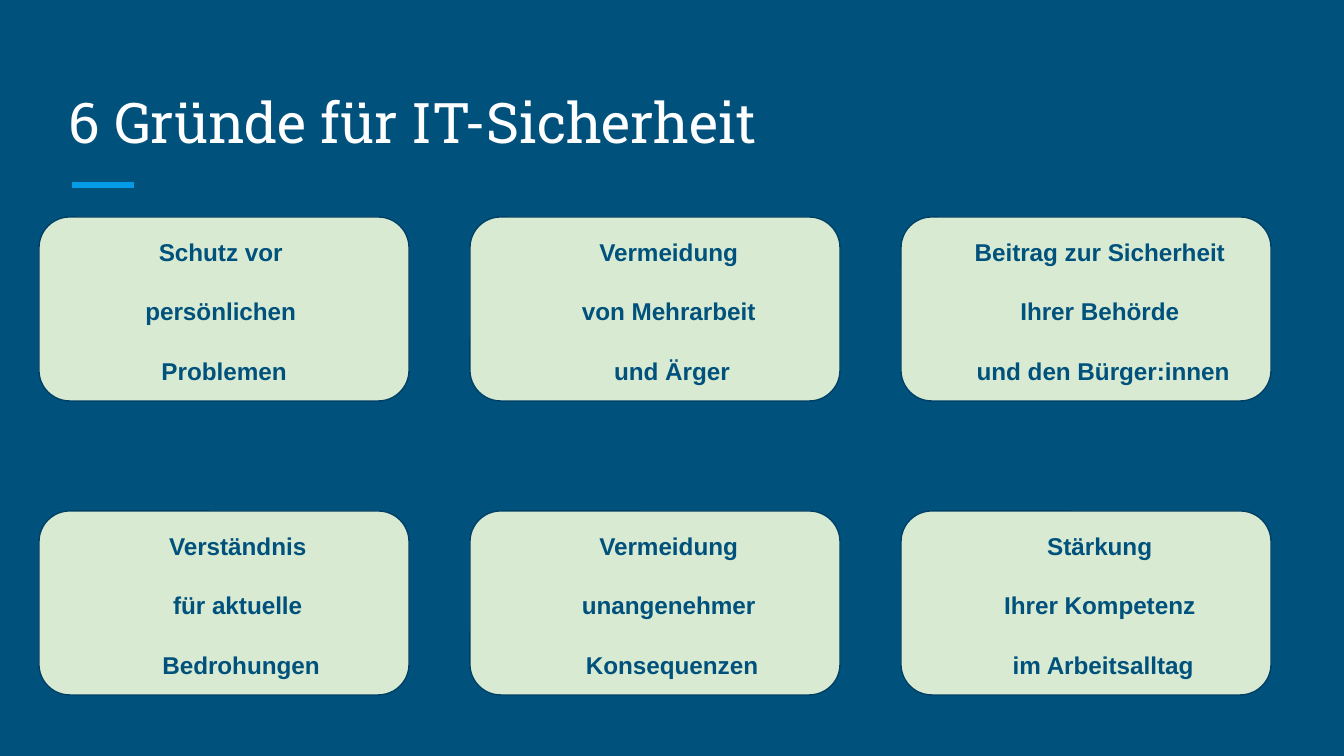
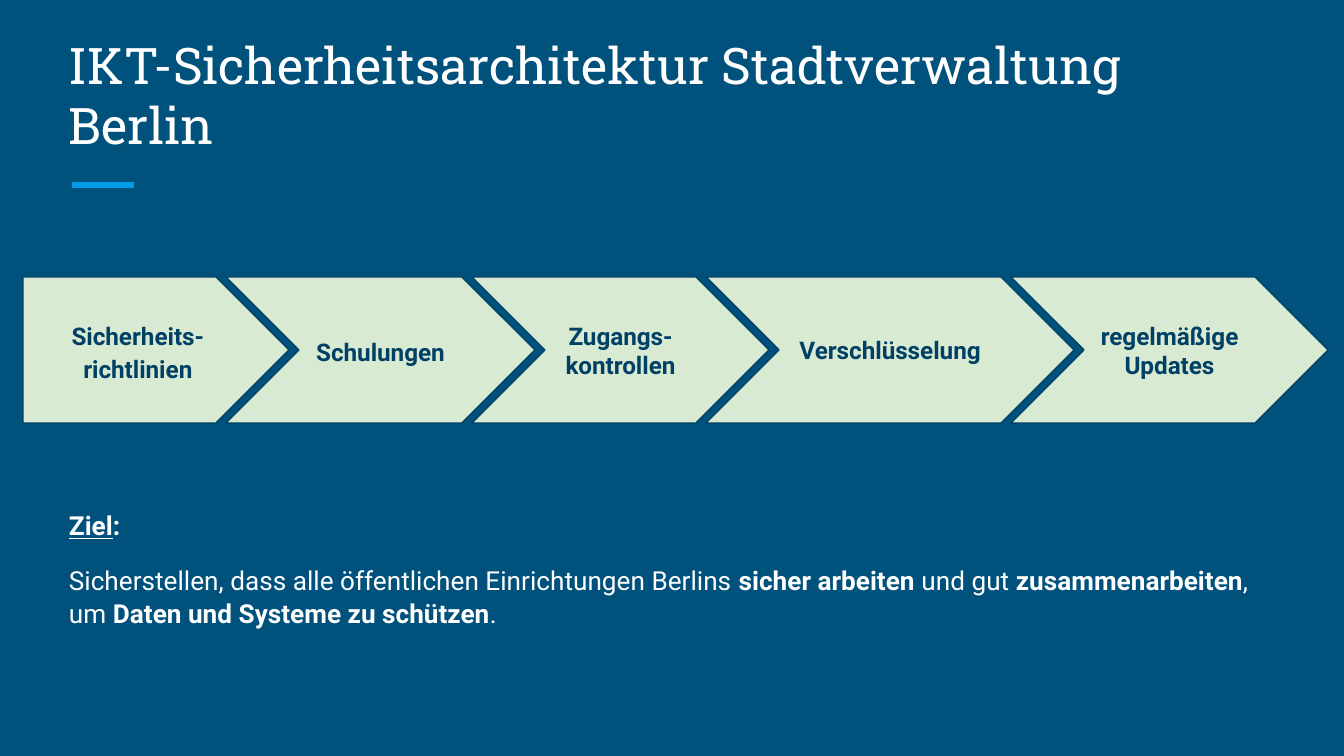
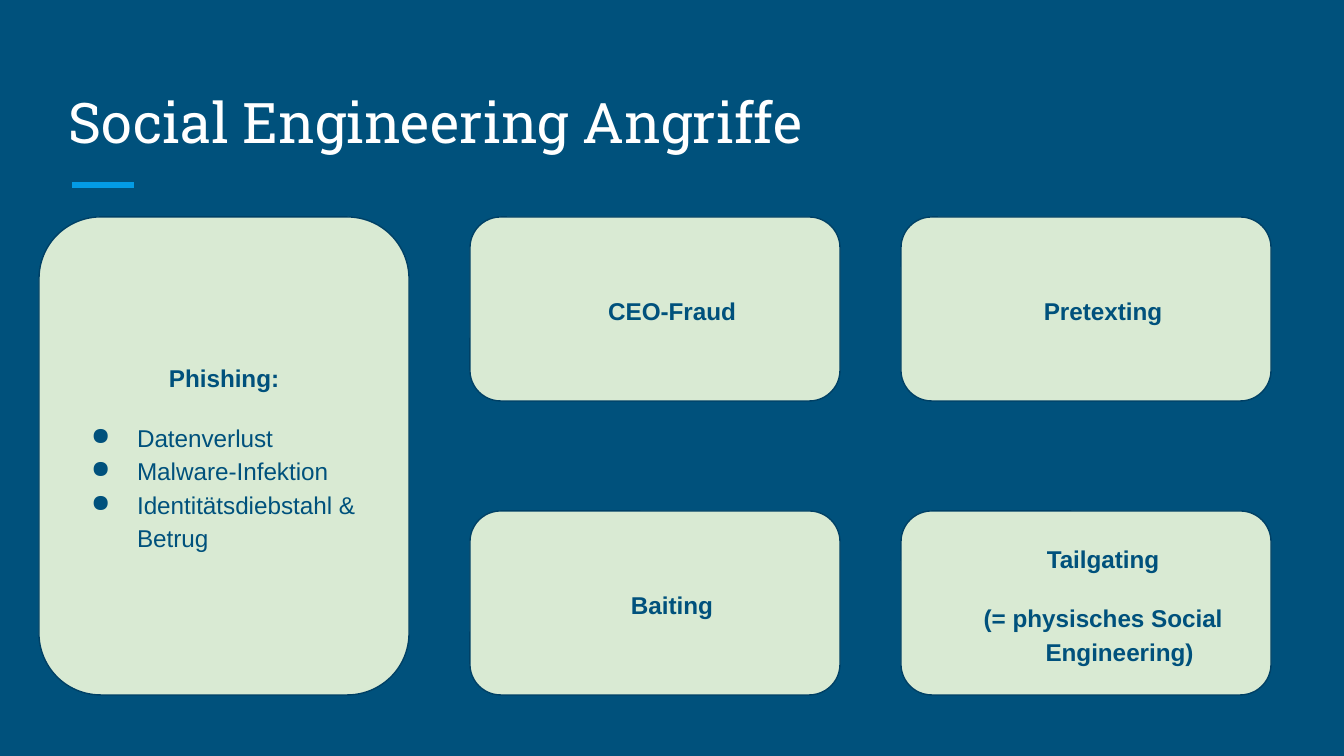
import dataclasses

import lxml.etree
import pptx
import pptx.dml.color
import pptx.enum.shapes
import pptx.enum.text
import pptx.oxml.ns
import pptx.util

SCALE = 914400 / 134.4
SHAPE = pptx.enum.shapes.MSO_SHAPE
ANCHOR = pptx.enum.text.MSO_ANCHOR
ALIGN = pptx.enum.text.PP_ALIGN


@dataclasses.dataclass(frozen=True)
class Theme:
    """Colours, fonts and type sizes of the deck."""

    background: str = "00517C"
    accent: str = "039BE5"
    card: str = "D9EAD3"
    outline: str = "004065"
    light: str = "FFFFFF"
    title_font: str = "Roboto Slab"
    body_font: str = "Roboto"
    card_font: str = "Arial"
    title_size: int = 30
    long_title_size: int = 27
    goal_size: int = 14
    label_size: int = 13


THEME = Theme()
CARD_TEXT = dict(font=THEME.card_font, size=THEME.label_size, color=THEME.background, spacing=1.15)
CARD_HEADING = dict(CARD_TEXT, bold=True, align=ALIGN.CENTER)
STEP_TEXT = dict(font=THEME.body_font, size=THEME.label_size, color=THEME.outline,
                 bold=True, align=ALIGN.CENTER)
GOAL_TEXT = dict(font=THEME.body_font, size=THEME.goal_size, color=THEME.light, spacing=1.05)

TITLE_BOX = (56, 67, 1230, 101)
GRID_BOX = (39, 217, 1232, 478)
CARD_SIZE = (370, 184)
FLOW_BOX = (23, 277, 1305, 146)
GOAL_BOX = (56, 495, 1230, 181)
STEP_OVERLAP = 63
INDENT = 67

REASONS = [
    (0, 0, ["Schutz vor ", "persönlichen ", "Problemen"]),
    (1, 0, ["Vermeidung ", "von Mehrarbeit ", "und Ärger"]),
    (2, 0, ["Beitrag zur Sicherheit ", "Ihrer Behörde ", "und den Bürger:innen"]),
    (0, 1, ["Verständnis ", "für aktuelle ", "Bedrohungen"]),
    (1, 1, ["Vermeidung ", "unangenehmer ", "Konsequenzen"]),
    (2, 1, ["Stärkung ", "Ihrer Kompetenz ", "im Arbeitsalltag"]),
]
STEPS = [
    (266, 1.15, ["Sicherheits-", "richtlinien"]),
    (309, 1.15, ["Schulungen"]),
    (297, 1.0, ["Zugangs-", "kontrollen"]),
    (368, 1.0, ["Verschlüsselung"]),
    (317, 1.0, ["regelmäßige Updates"]),
]
BOLD = dict(bold=True)
GOAL_HEADING = [("Ziel", dict(bold=True, underline=True)), (":", BOLD)]
GOAL = [
    ("Sicherstellen, dass alle öffentlichen Einrichtungen Berlins ", {}),
    ("sicher arbeiten", BOLD),
    (" und gut ", {}),
    ("zusammenarbeiten", BOLD),
    (", um ", {}),
    ("Daten und Systeme zu schützen", BOLD),
    (".", {}),
]
ATTACKS = [
    (1, 0, ["CEO-Fraud"]),
    (2, 0, ["Pretexting"]),
    (1, 1, ["Baiting"]),
    (2, 1, ["Tailgating", "(= physisches Social Engineering)"]),
]
PHISHING_EFFECTS = ["Datenverlust", "Malware-Infektion", "Identitätsdiebstahl & Betrug"]


def px(length):
    """Turn pixels into EMU."""
    return pptx.util.Emu(round(length * SCALE))


def rgb(code):
    """Turn a hex code into a colour."""
    return pptx.dml.color.RGBColor.from_string(code)


def write(frame, text, *, font, size, color, bold=False, align=None, spacing=1.0,
          before=0, after=0, indent=0, hang=0, bullet=None):
    """Add one paragraph, given as a string or as (text, format) runs."""
    paragraph = frame.paragraphs[0]
    if paragraph.runs:
        paragraph = frame.add_paragraph()
    paragraph.alignment = align
    paragraph.line_spacing = spacing
    paragraph.space_before = pptx.util.Pt(before)
    paragraph.space_after = pptx.util.Pt(after)
    properties = paragraph._p.get_or_add_pPr()
    properties.set("marL", str(px(indent)))
    properties.set("indent", str(px(-hang)))
    if bullet:
        qn = pptx.oxml.ns.qn
        bullet_color = lxml.etree.SubElement(properties, qn("a:buClr"))
        lxml.etree.SubElement(bullet_color, qn("a:srgbClr"), val=color)
        lxml.etree.SubElement(properties, qn("a:buChar"), char=bullet)
    for words, style in [(text, {})] if isinstance(text, str) else text:
        run = paragraph.add_run()
        run.text = words
        run.font.name = font
        run.font.size = pptx.util.Pt(size)
        run.font.color.rgb = rgb(color)
        run.font.bold = style.get("bold", bold)
        run.font.underline = style.get("underline", False)


def prepare_frame(frame, anchor):
    """Wrap a text frame, set its insets and its anchor, and return it."""
    frame.word_wrap = True
    frame.vertical_anchor = anchor
    frame.margin_left = frame.margin_right = frame.margin_top = frame.margin_bottom = px(13)
    return frame


def add_panel(slide, preset, box):
    """Draw a pale outlined shape and return its text frame."""
    panel = slide.shapes.add_shape(preset, *map(px, box))
    panel.shadow.inherit = False
    panel.fill.solid()
    panel.fill.fore_color.rgb = rgb(THEME.card)
    panel.line.color.rgb = rgb(THEME.outline)
    panel.line.width = pptx.util.Pt(0.75)
    return prepare_frame(panel.text_frame, ANCHOR.MIDDLE)


def add_text_area(slide, box, anchor):
    """Add a text box and return its text frame."""
    return prepare_frame(slide.shapes.add_textbox(*map(px, box)).text_frame, anchor)


def add_titled_slide(deck, title, size=THEME.title_size, box=TITLE_BOX):
    """Add a slide with the shared background, accent rule and title."""
    slide = deck.slides.add_slide(deck.slide_layouts[6])
    slide.background.fill.solid()
    slide.background.fill.fore_color.rgb = rgb(THEME.background)
    left, top, _, height = box
    rule_left, rule_top = left + 16, top + height + 17
    rule = slide.shapes.add_connector(
        pptx.enum.shapes.MSO_CONNECTOR.STRAIGHT,
        px(rule_left), px(rule_top), px(rule_left + 62), px(rule_top))
    rule.line.color.rgb = rgb(THEME.accent)
    rule.line.width = pptx.util.Pt(3)
    lxml.etree.SubElement(rule._element.spPr, pptx.oxml.ns.qn("a:effectLst"))
    write(add_text_area(slide, box, ANCHOR.BOTTOM), title,
          font=THEME.title_font, size=size, color=THEME.light)
    return slide


def add_cards(slide, box, cards):
    """Place cards in a grid of three columns and two rows."""
    left, top, width, height = box
    card_width, card_height = CARD_SIZE
    column_step, row_step = (width - card_width) // 2, height - card_height
    for column, row, lines in cards:
        frame = add_panel(slide, SHAPE.ROUNDED_RECTANGLE,
                          (left + column * column_step, top + row * row_step, *CARD_SIZE))
        indent = INDENT if column or row else 0
        for index, line in enumerate(lines):
            write(frame, line, **CARD_HEADING, indent=indent, hang=indent // 2,
                  before=14 if index else 0, after=4 if index == len(lines) - 1 else 0)


def add_phishing_card(slide, box):
    """Place the tall card with its bullets in the first grid column."""
    left, top, _, height = box
    frame = add_panel(slide, SHAPE.ROUNDED_RECTANGLE, (left, top, CARD_SIZE[0], height))
    write(frame, "Phishing:", **CARD_HEADING)
    for index, effect in enumerate(PHISHING_EFFECTS):
        write(frame, effect, **CARD_TEXT, before=0 if index else 14,
              indent=INDENT, hang=46, bullet="●")


def add_flow(slide, box, steps):
    """Place interlocking arrow steps from left to right."""
    left, top, _, height = box
    for index, (width, spacing, lines) in enumerate(steps):
        preset = SHAPE.CHEVRON if index else SHAPE.PENTAGON
        frame = add_panel(slide, preset, (left, top, width, height))
        for line in lines:
            write(frame, line, **STEP_TEXT, spacing=spacing)
        left += width - STEP_OVERLAP


def add_goal(slide, box):
    """Write the goal statement."""
    frame = add_text_area(slide, box, ANCHOR.TOP)
    write(frame, GOAL_HEADING, **GOAL_TEXT)
    write(frame, GOAL, **GOAL_TEXT, before=12)


def main():
    """Build and save the three slides."""
    deck = pptx.Presentation()
    deck.slide_width, deck.slide_height = px(1344), px(756)

    reasons = add_titled_slide(deck, "6 Gründe für IT-Sicherheit")
    add_cards(reasons, GRID_BOX, REASONS)

    architecture = add_titled_slide(
        deck, "IKT-Sicherheitsarchitektur Stadtverwaltung Berlin", THEME.long_title_size)
    add_flow(architecture, FLOW_BOX, STEPS)
    add_goal(architecture, GOAL_BOX)

    attacks = add_titled_slide(deck, "Social Engineering Angriffe")
    add_phishing_card(attacks, GRID_BOX)
    add_cards(attacks, GRID_BOX, ATTACKS)

    deck.save("out.pptx")


if __name__ == "__main__":
    main()
